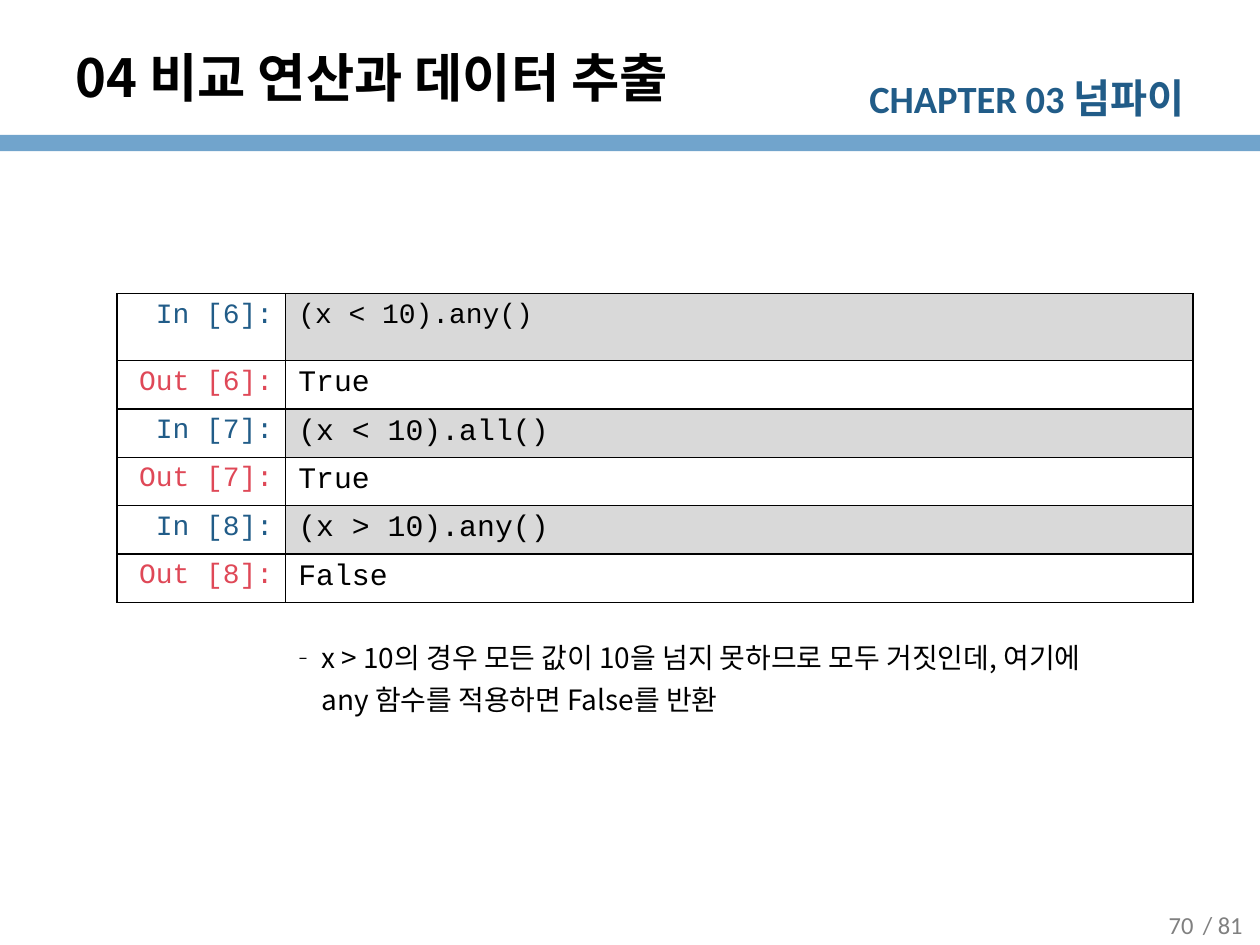
from pptx import Presentation
from pptx.dml.color import RGBColor
from pptx.enum import shapes, text
from pptx.oxml import parse_xml
from pptx.oxml.ns import nsdecls
from pptx.util import Cm, Pt

# Content
TITLE = "04 비교 연산과 데이터 추출"
CHAPTER = [("CHAPTER 03 ", 22), ("넘파이", 23)]
PAGE_NUMBERS = [("70", 22.91), ("/ 81", 23.75)]  # text, left in cm
CELLS = [  # number, input, output
    (6, "(x < 10).any()", "True"),
    (7, "(x < 10).all()", "True"),
    (8, "(x > 10).any()", "False"),
]
NOTE = ("x > 10의 경우 모든 값이 10을 넘지 못하므로 모두 거짓인데, "
        "여기에 any 함수를 적용하면 False를 반환")

# Style
BLACK = RGBColor(0, 0, 0)
WHITE = RGBColor(255, 255, 255)
BLUE = RGBColor(0x21, 0x5C, 0x88)
BAR_BLUE = RGBColor(0x71, 0xA4, 0xCC)
RED = RGBColor(0xDF, 0x48, 0x57)
CODE_GRAY = RGBColor(0xD9, 0xD9, 0xD9)
NUMBER_GRAY = RGBColor(0x80, 0x80, 0x80)
KOREAN, LATIN, MONO = "Noto Sans CJK KR", "Calibri", "Courier New"
LEFT, CENTER, RIGHT = (text.PP_ALIGN.LEFT, text.PP_ALIGN.CENTER,
                       text.PP_ALIGN.RIGHT)


def style(para, name, size, color, bold=False, align=LEFT):
    para.alignment = align
    font = para.font
    font.name, font.size, font.bold = name, Pt(size), bold
    font.color.rgb = color
    east_asian = MONO if name == MONO else KOREAN
    font._element.append(
        parse_xml(f'<a:ea {nsdecls("a")} typeface="{east_asian}"/>'))


def place(shape, left, top, width, height):
    shape.left, shape.top = Cm(left), Cm(top)
    shape.width, shape.height = Cm(width), Cm(height)


def add_text(page, left, top, width, height):
    box = page.shapes.add_textbox(Cm(left), Cm(top), Cm(width), Cm(height))
    box.text_frame.word_wrap = True
    return box.text_frame


def add_borders(cell):
    properties = cell._tc.get_or_add_tcPr()
    for side in "LRTB":
        properties.append(parse_xml(
            f'<a:ln{side} {nsdecls("a")} w="12700"><a:solidFill>'
            f'<a:srgbClr val="{BLACK}"/></a:solidFill></a:ln{side}>'))


def add_header(page):
    bar = page.shapes.add_shape(shapes.MSO_SHAPE.RECTANGLE,
                                0, Cm(2.72), Cm(25.4), Cm(0.33))
    bar.shadow.inherit = False
    bar.fill.solid()
    bar.fill.fore_color.rgb = BAR_BLUE
    bar.line.fill.background()

    para = add_text(page, 16.81, 1.35, 7.32, 1.22).paragraphs[0]
    style(para, LATIN, 22, BLUE, True, RIGHT)
    for words, size in CHAPTER:
        span = para.add_run()
        span.text, span.font.size = words, Pt(size)

    title = page.shapes.title
    place(title, 1.27, 0.76, 19.89, 1.57)
    frame = title.text_frame
    frame.text = TITLE
    frame.auto_size = text.MSO_AUTO_SIZE.NONE
    frame.vertical_anchor = text.MSO_ANCHOR.MIDDLE
    style(frame.paragraphs[0], KOREAN, 30, BLACK, True)


def add_code_table(page):
    rows = []
    for number, code, result in CELLS:
        rows.append((f"In [{number}]:", BLUE, code, CODE_GRAY))
        rows.append((f"Out [{number}]:", RED, result, WHITE))
    heights = [1.35] + [0.94] * (len(rows) - 1)
    table = page.shapes.add_table(len(rows), 2, Cm(2.36), Cm(5.92),
                                  Cm(21.69), Cm(sum(heights))).table
    table.columns[0].width, table.columns[1].width = Cm(3.4), Cm(18.29)
    for index, (label, color, code, fill) in enumerate(rows):
        table.rows[index].height = Cm(heights[index])
        code_size = 17 if index else 16
        parts = [(label, color, 16, RIGHT, WHITE),
                 (code, BLACK, code_size, LEFT, fill)]
        for column, (words, ink, size, align, back) in enumerate(parts):
            cell = table.cell(index, column)
            cell.text = words
            style(cell.text_frame.paragraphs[0], MONO, size, ink, align=align)
            add_borders(cell)
            cell.fill.solid()
            cell.fill.fore_color.rgb = back


def add_note(page):
    body = page.placeholders[1]
    place(body, 1.78, 12.62, 21.16, 1.88)
    frame = body.text_frame
    frame.text = NOTE
    frame.auto_size = text.MSO_AUTO_SIZE.NONE
    para = frame.paragraphs[0]
    para.level = 3
    para.line_spacing, para.space_before = 1.25, Pt(0)
    properties = para._p.get_or_add_pPr()
    properties.set("marL", str(Cm(4.45)))
    properties.set("indent", str(Cm(-0.64)))
    for bullet in (f'<a:buClr {nsdecls("a")}><a:srgbClr val="{BLACK}"/></a:buClr>',
                   f'<a:buFont {nsdecls("a")} typeface="{KOREAN}"/>',
                   f'<a:buChar {nsdecls("a")} char="‐"/>'):
        properties.append(parse_xml(bullet))
    style(para, KOREAN, 16, BLACK)


def add_page_numbers(page):
    for words, left in PAGE_NUMBERS:
        frame = add_text(page, left, 18.14, 1.8, 0.99)
        frame.text = words
        frame.vertical_anchor = text.MSO_ANCHOR.MIDDLE
        style(frame.paragraphs[0], LATIN, 14, NUMBER_GRAY, align=CENTER)


def main():
    deck = Presentation()
    deck.slide_width, deck.slide_height = Cm(25.4), Cm(19.05)
    page = deck.slides.add_slide(deck.slide_layouts[1])
    add_header(page)
    add_code_table(page)
    add_note(page)
    add_page_numbers(page)
    deck.save("out.pptx")


if __name__ == "__main__":
    main()
